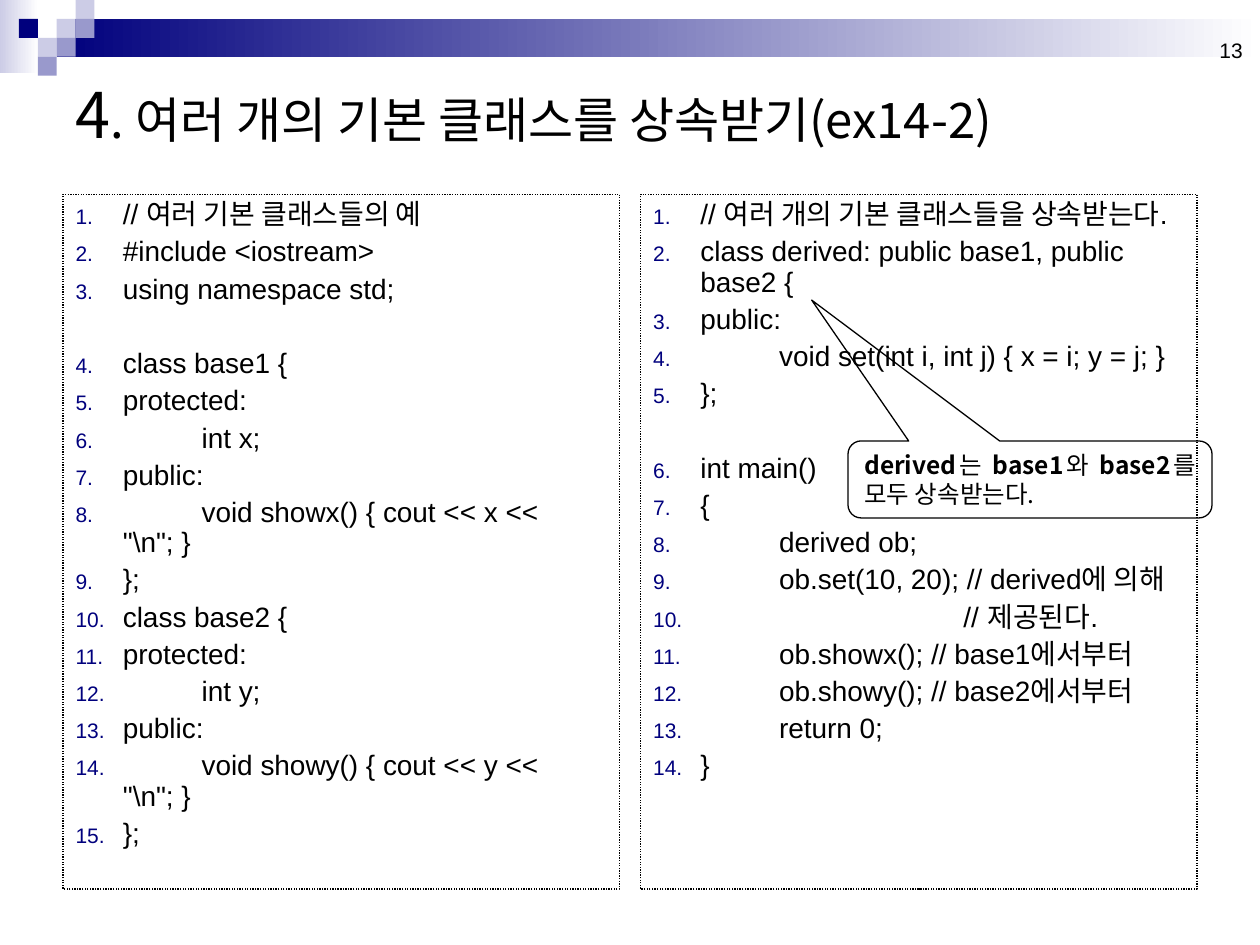
from lxml.etree import SubElement
from pptx import Presentation
from pptx.dml.color import RGBColor
from pptx.enum.dml import MSO_LINE
from pptx.enum.shapes import MSO_SHAPE
from pptx.enum.text import MSO_ANCHOR, MSO_AUTO_SIZE, PP_ALIGN
from pptx.oxml.ns import qn
from pptx.util import Pt

LATIN, KOREAN = "Arial", "Noto Sans CJK KR"
BLACK, WHITE, NAVY, MID, PALE = "000000", "FFFFFF", "00007D", "9999CC", "CCCCE6"
CELL = 10.8
CELLS = [(3, 1, PALE), (4, 0, PALE), (4, 1, MID), (2, 2, PALE),
         (1, 1, NAVY), (3, 2, MID), (2, 3, MID)]
BASES = [
    ["// 여러 기본 클래스들의 예", "#include <iostream>", "using namespace std;"],
    ["class base1 {", "protected:", "\tint x;", "public:",
     "\tvoid showx() { cout << x << \"\\n\"; }", "};",
     "class base2 {", "protected:", "\tint y;", "public:",
     "\tvoid showy() { cout << y << \"\\n\"; }", "};"],
]
DERIVED = [
    ["// 여러 개의 기본 클래스들을 상속받는다.",
     "class derived: public base1, public base2 {", "public:",
     "\tvoid set(int i, int j) { x = i; y = j; }", "};"],
    ["int main()", "{", "\tderived ob;", "\tob.set(10, 20); // derived에 의해",
     "                                  // 제공된다.",
     "\tob.showx(); // base1에서부터", "\tob.showy(); // base2에서부터",
     "\treturn 0;", "}"],
]


def color(code):
    """Turn a hex string into a colour."""
    return RGBColor.from_string(code)


def write(para, text, size=16, face=LATIN, bold=False, tint=BLACK):
    """Add a formatted run to a paragraph."""
    run = para.add_run()
    run.text = text
    font = run.font
    font.size, font.name, font.bold = Pt(size), face, bold
    font.color.rgb = color(tint)
    SubElement(font._element, qn("a:ea"), typeface=KOREAN)


def place(shape, left, top, width, height):
    """Set the position and size of a shape."""
    shape.left, shape.top = Pt(left), Pt(top)
    shape.width, shape.height = Pt(width), Pt(height)


def block(slide, left, top, width, height, tint, end=None):
    """Draw a plain rectangle, fading to the end colour if given."""
    shape = slide.shapes.add_shape(
        MSO_SHAPE.RECTANGLE, Pt(left), Pt(top), Pt(width), Pt(height))
    shape.shadow.inherit = False
    shape.line.fill.background()
    if end:
        shape.fill.gradient()
        shape.fill.gradient_angle = 0
        for stop, code in zip(shape.fill.gradient_stops, (tint, end)):
            stop.color.rgb = color(code)
    else:
        shape.fill.solid()
        shape.fill.fore_color.rgb = color(tint)


def number(para):
    """Give a paragraph a hanging automatic number and a code tab."""
    props = para._p.get_or_add_pPr()
    props.set("marL", str(Pt(27)))
    props.set("indent", str(Pt(-27)))
    tint = SubElement(props, qn("a:buClr"))
    SubElement(tint, qn("a:srgbClr"), val=NAVY)
    SubElement(props, qn("a:buSzPct"), val="75000")
    SubElement(props, qn("a:buFont"), typeface=LATIN)
    SubElement(props, qn("a:buAutoNum"), type="arabicPeriod")
    tabs = SubElement(props, qn("a:tabLst"))
    SubElement(tabs, qn("a:tab"), pos=str(Pt(72)), algn="l")


def listing(holder, left, parts):
    """Fill a dotted box with numbered code, with a gap between parts."""
    place(holder, left, 111, 318, 397)
    holder.line.color.rgb = color(BLACK)
    holder.line.width = Pt(0.75)
    holder.line.dash_style = MSO_LINE.ROUND_DOT
    frame = holder.text_frame
    frame.auto_size = MSO_AUTO_SIZE.NONE
    para = None
    for part in parts:
        for row, line in enumerate(part):
            first = para is None
            para = frame.paragraphs[0] if first else frame.add_paragraph()
            para.line_spacing = 0.9
            para.space_before = Pt(0 if first else 4 if row else 25.3)
            number(para)
            write(para, line)


def heading(holder):
    """Set the slide title."""
    place(holder, 36, 36, 648, 58)
    frame = holder.text_frame
    frame.auto_size = MSO_AUTO_SIZE.NONE
    frame.vertical_anchor = MSO_ANCHOR.MIDDLE
    para = frame.paragraphs[0]
    para.alignment = PP_ALIGN.LEFT
    write(para, "4", size=36, face=KOREAN)
    write(para, ". 여러 개의 기본 클래스를 상속받기(ex14-2)", size=28, face=KOREAN)


def folio(slide):
    """Add the page number."""
    box = slide.shapes.add_textbox(Pt(549.4), Pt(3.6), Pt(167.8), Pt(36))
    frame = box.text_frame
    frame.word_wrap = True
    frame.vertical_anchor = MSO_ANCHOR.BOTTOM
    para = frame.paragraphs[0]
    para.alignment = PP_ALIGN.RIGHT
    write(para, "13", size=12)


def callout(slide):
    """Add the balloon that points at the derived class."""
    shape = slide.shapes.add_shape(
        MSO_SHAPE.ROUNDED_RECTANGULAR_CALLOUT,
        Pt(484.6), Pt(252), Pt(208), Pt(44))
    for spot, value in enumerate((-0.6, -2.33, 0.17)):
        shape.adjustments[spot] = value
    shape.shadow.inherit = False
    shape.fill.background()
    shape.line.color.rgb = color(BLACK)
    shape.line.width = Pt(0.75)
    frame = shape.text_frame
    frame.word_wrap = True
    frame.auto_size = MSO_AUTO_SIZE.SHAPE_TO_FIT_TEXT
    frame.vertical_anchor = MSO_ANCHOR.MIDDLE
    para = frame.paragraphs[0]
    para.alignment = PP_ALIGN.JUSTIFY
    for name, tail in (("derived", "는 "), ("base1", "와 "),
                       ("base2", "를 모두 상속받는다.")):
        write(para, name, size=14, face=KOREAN, bold=True)
        write(para, tail, size=14, face=KOREAN)


def main():
    """Build the slide and save it."""
    deck = Presentation()
    deck.slide_width, deck.slide_height = Pt(720), Pt(540)
    slide = deck.slides.add_slide(deck.slide_layouts[3])
    block(slide, 0, 0, 22, 42, PALE, end=WHITE)
    block(slide, 3 * CELL, CELL, 720 - 3 * CELL, 2 * CELL, NAVY, end=WHITE)
    for col, row, tint in CELLS:
        block(slide, col * CELL, row * CELL, CELL, CELL, tint)
    folio(slide)
    title, left, right = slide.placeholders
    heading(title)
    listing(left, 36, BASES)
    listing(right, 366, DERIVED)
    callout(slide)
    deck.save("out.pptx")


if __name__ == "__main__":
    main()
